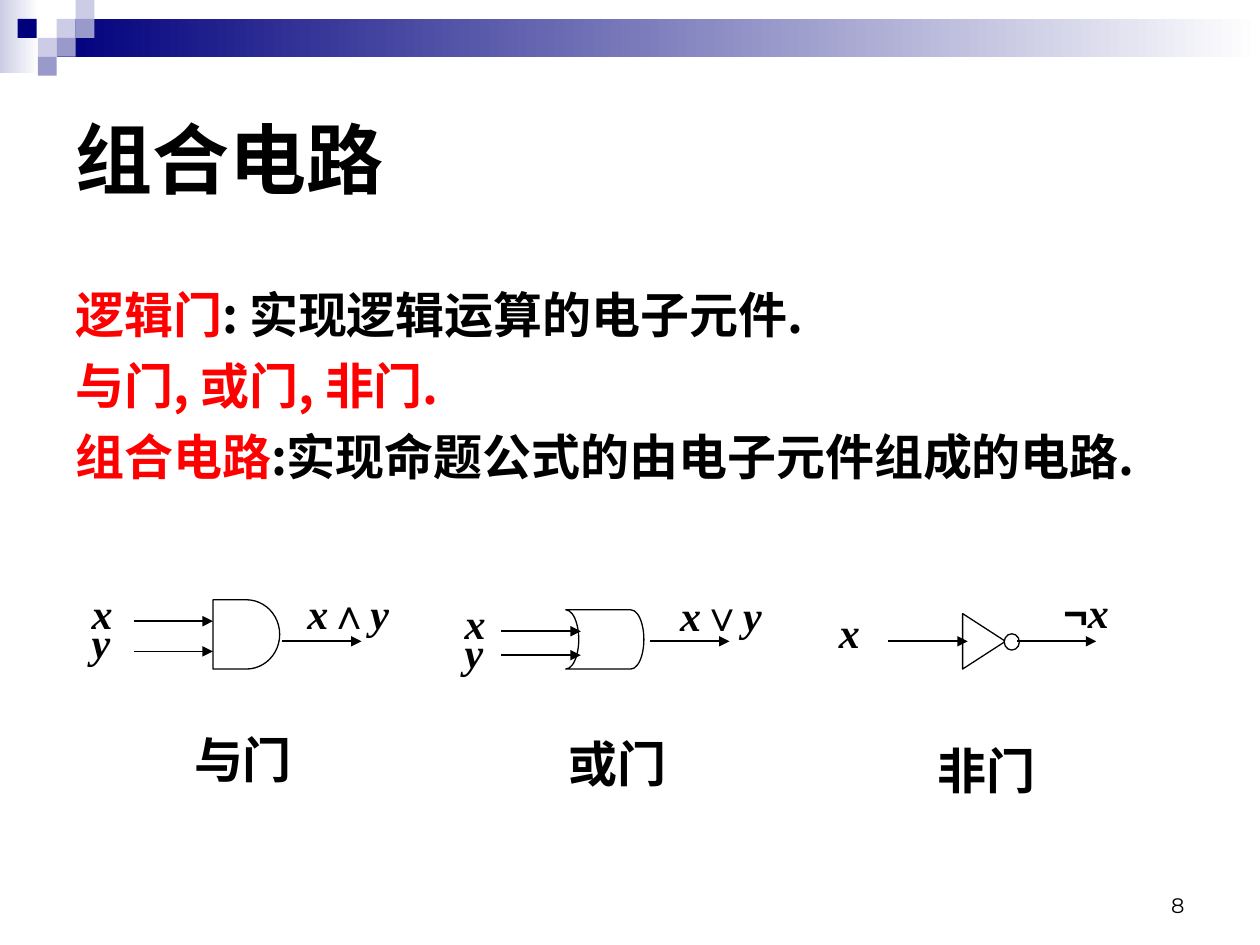
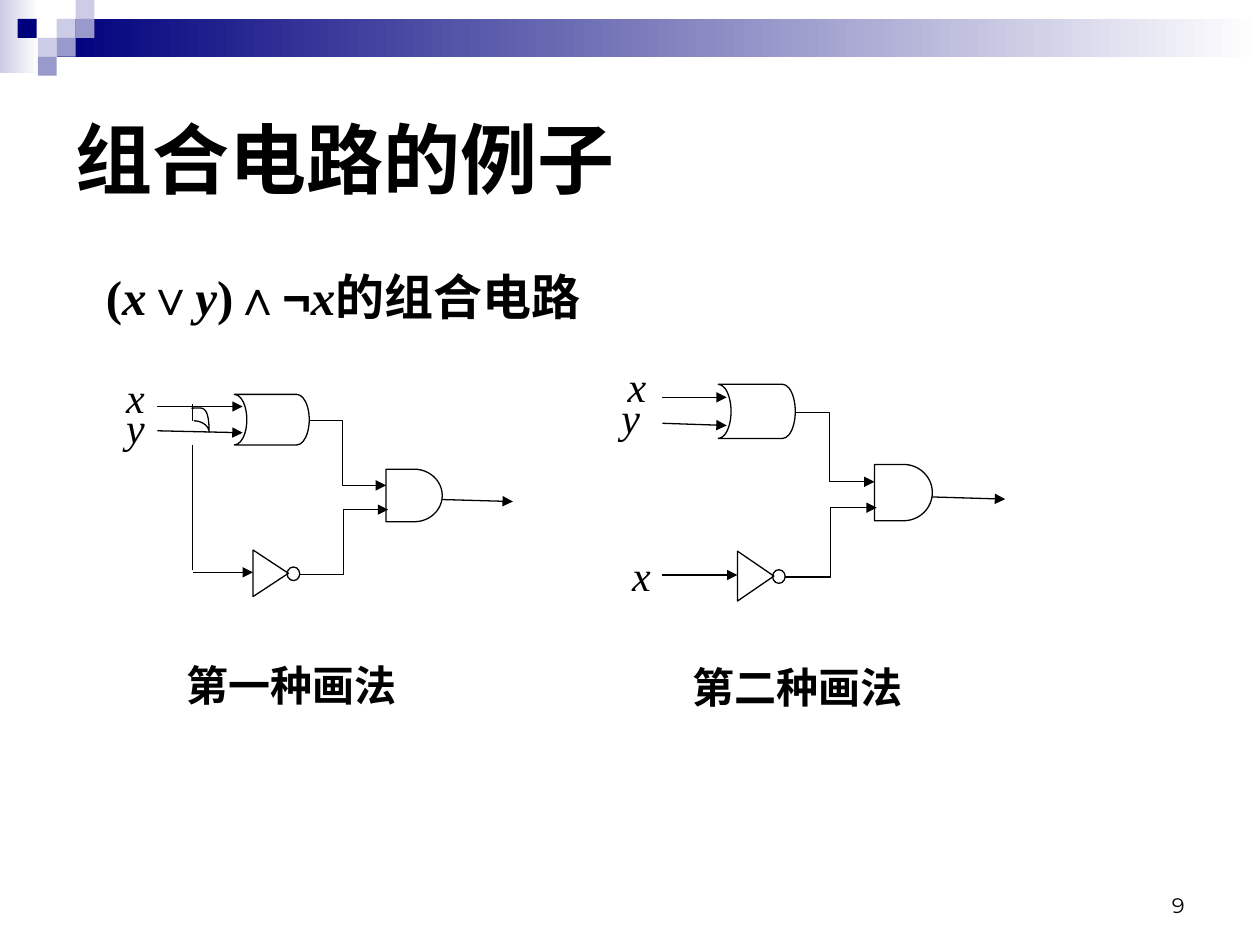
import itertools

import pptx
import pptx.dml.color
import pptx.enum.shapes
import pptx.enum.text
import pptx.oxml.ns
import pptx.util
from lxml import etree

RGB = pptx.dml.color.RGBColor
BLACK, WHITE, RED = RGB(0, 0, 0), RGB(255, 255, 255), RGB(255, 0, 0)
NAVY, MID, PALE = RGB(0, 0, 0x7D), RGB(0x99, 0x99, 0xCC), RGB(0xCC, 0xCC, 0xE6)

SHAPE = pptx.enum.shapes.MSO_SHAPE
WIRE = pptx.enum.shapes.MSO_CONNECTOR
ALIGN = pptx.enum.text.PP_ALIGN
ANCHOR = pptx.enum.text.MSO_ANCHOR
AND, OR, NOT = SHAPE.FLOWCHART_DELAY, SHAPE.FLOWCHART_STORED_DATA, SHAPE.ISOSCELES_TRIANGLE

# The slide is a grid of 100 columns and 75 rows of square cells
CELL = pptx.util.Inches(0.1)
COLS, ROWS = 100, 75
HAN, SERIF = "Noto Sans CJK SC", "Times New Roman"


def emu(*cells):
    return [round(cell * CELL) for cell in cells]


def within(box, x, y, w=0, h=0):
    """Turn shares of a box into cells."""
    left, top, wide, high = box
    return left + x * wide, top + y * high, w * wide, h * high


def node(owner, tag, **attrs):
    return etree.SubElement(owner, pptx.oxml.ns.qn(tag), **attrs)


# Basic parts
def text(slide, box, paras, size=24, font=SERIF, bold=False, italic=False,
         color=BLACK, align=ALIGN.LEFT, anchor=ANCHOR.TOP, lead=None, gap=0, indent=0):
    """Write paragraphs; each is a string or a list of (string, format) runs."""
    frame = slide.shapes.add_textbox(*emu(*box)).text_frame
    frame.word_wrap = True
    frame.vertical_anchor = anchor
    frame.margin_left = emu(1 + indent)[0]
    for i, runs in enumerate(paras):
        para = frame.paragraphs[0] if i == 0 else frame.add_paragraph()
        para.alignment = align
        if lead:
            para.line_spacing = pptx.util.Pt(lead * size)
        if i:
            para.space_before = pptx.util.Pt(gap)
        for words, style in [(runs, {})] if isinstance(runs, str) else runs:
            run = para.add_run()
            run.text = words
            run.font.size = pptx.util.Pt(size)
            run.font.name = style.get("font", font)
            run.font.bold = bold
            run.font.italic = style.get("italic", italic)
            run.font.color.rgb = style.get("color", color)
            node(run.font._element, "a:ea", typeface=HAN)


def maths(words):
    """Split a formula into runs: letters slanted, the negation sign in Arial."""
    kinds = itertools.groupby(words, lambda c: (c in "xy", c == "¬"))
    return [("".join(part), {"italic": slant, "font": "Arial" if neg else SERIF})
            for (slant, neg), part in kinds]


def shape(slide, kind, box, fill=None, fade=None, edge=None, turn=0):
    x, y, w, h = box
    if turn == 90:
        x, y, w, h = x + (w - h) / 2, y + (h - w) / 2, h, w
    item = slide.shapes.add_shape(kind, *emu(x, y, w, h))
    item.shadow.inherit = False
    item.rotation = turn
    if fade:
        item.fill.gradient()
        item.fill.gradient_angle = 0
        for stop, tone, place in zip(item.fill.gradient_stops, fade, (0, 1)):
            stop.color.rgb, stop.position = tone, place
    elif fill is not None:
        item.fill.solid()
        item.fill.fore_color.rgb = fill
    else:
        item.fill.background()
    if edge:
        item.line.color.rgb = BLACK
        item.line.width = pptx.util.Pt(edge)
    else:
        item.line.fill.background()


def wire(slide, start, end, width=0.75, head=True, bend=None):
    kind = WIRE.ELBOW if bend else WIRE.STRAIGHT
    item = slide.shapes.add_connector(kind, *emu(*start, *end))
    item.line.color.rgb = BLACK
    item.line.width = pptx.util.Pt(width)
    props = item._element.spPr
    if head:
        node(props.find(pptx.oxml.ns.qn("a:ln")), "a:tailEnd", type="triangle")
    if bend:
        geom = props.find(pptx.oxml.ns.qn("a:prstGeom"))
        for old in list(geom):
            geom.remove(old)
        node(node(geom, "a:avLst"), "a:gd", name="adj1", fmla=f"val {round(bend * 100000)}")
    node(props, "a:effectLst")


def symbol(slide, kind, box, fill=None):
    turn = {AND: 0, OR: 180, NOT: 90}[kind]
    shape(slide, kind, box, fill=fill, edge=0.75, turn=turn)
    if kind == NOT:
        # Bubble at the tip of the inverter
        x, y, w, h = box
        bub = 1.2 if fill else 1
        shape(slide, SHAPE.OVAL, (x + w - 0.1, y + h / 2 - bub / 2, bub, bub * 1.08),
              fill=fill, edge=0.75)


def label(slide, x, y, words, wide=4.3, bold=False):
    lead = 1.3 if len(words) > 2 else 1.22
    text(slide, (x, y, wide, 4.7), [maths(words)], bold=bold, lead=lead)


# Shared frame of a slide
def frame(deck, title, number):
    slide = deck.slides.add_slide(deck.slide_layouts[6])
    shape(slide, SHAPE.RECTANGLE, (0, 0, 3.1, 5.8), fade=(PALE, WHITE))
    shape(slide, SHAPE.RECTANGLE, (4.5, 1.5, COLS - 4.5, 3), fade=(NAVY, WHITE))
    tiles = [(4.5, 1.5, PALE), (6, 0, PALE), (6, 1.5, MID), (3, 3, PALE),
             (1.4, 1.5, NAVY), (4.5, 3, MID), (3, 4.5, MID)]
    for x, y, tone in tiles:
        shape(slide, SHAPE.RECTANGLE, (x, y, 1.5, 1.5), fill=tone)
    text(slide, (5, 5, 90, 15), [title], size=44, font="Arial", bold=True,
         anchor=ANCHOR.MIDDLE)
    text(slide, (71.7, 68.3, 23.3, 5), [str(number)], size=12, font="Montserrat",
         align=ALIGN.RIGHT, anchor=ANCHOR.BOTTOM)
    return slide


# One gate with its inputs, result and name
def gate(slide, box, kind, body, inputs, enter, leave, result, name):
    left, top = box
    x, y, w, h = body
    symbol(slide, kind, (left + x, top + y, w, h), fill=WHITE)
    for letter, rise, row in inputs:
        label(slide, left, top + rise, letter, bold=True)
        wire(slide, (left + enter, top + row), (left + enter + 6.3, top + row), width=1)
    wire(slide, (left + leave, top + 5.1), (left + leave + 6.3, top + 5.1), width=1)
    words, x, y = result
    label(slide, left + x, top + y, words, wide=11.5, bold=True)
    words, x, y = name
    text(slide, (left + x, top + y, 17.5, 6.8), [words], size=28, font="Calibri",
         bold=True, lead=1.3, indent=5)


def curve(a, b, c, d, steps=10):
    """Points on a cubic curve."""
    for i in range(1, steps + 1):
        t = i / steps
        mix = ((1 - t) ** 3, 3 * t * (1 - t) ** 2, 3 * t * t * (1 - t), t ** 3)
        yield tuple(sum(m * p[k] for m, p in zip(mix, (a, b, c, d))) for k in (0, 1))


def branch(slide, box):
    """Lead the x input down to the inverter, hopping over the y wire."""
    left, top = box[:2]
    start, turn, end = (-3.2, 2.1), (-2, 3), (-3.4, 1.1)
    dots = [*curve(start, (-2.6, 2.1), (-2, 2.5), turn),
            *curve(turn, (-2, 0.7), (-2.6, 1.1), end)]
    spots = [emu(left + x, top + y) for x, y in [start, *dots]]
    maker = slide.shapes.build_freeform(*spots[0])
    maker.add_line_segments(spots[1:], close=False)
    hop = maker.convert_to_shape()
    hop.shadow.inherit = False
    hop.fill.background()
    hop.line.color.rgb = BLACK
    hop.line.width = pptx.util.Pt(0.75)
    for upper, lower in ((0.05, 0.13), (0.25, 0.87)):
        wire(slide, within(box, -0.2, upper)[:2], within(box, -0.2, lower)[:2], head=False)


# Circuit for (x∨y)∧¬x, in shares of its box
def circuit(slide, box, start, feed, letters, name):
    def link(x1, y1, x2, y2, bend=None):
        wire(slide, within(box, x1, y1)[:2], within(box, x2, y2)[:2], bend=bend)

    symbol(slide, OR, within(box, 0, 0, 0.36, 0.25))
    symbol(slide, NOT, within(box, 0.09, 0.77, 0.17, 0.23))
    symbol(slide, AND, within(box, 0.73, 0.37, 0.27, 0.26))
    link(start, 0.06, 0.04, 0.06)
    link(start, 0.18, 0.04, 0.19)
    link(feed, 0.88, 0.09, 0.88)
    link(0.36, 0.13, 0.73, 0.45, bend=0.43)
    link(0.31, 0.89, 0.74, 0.57, bend=0.5)
    link(1, 0.52, 1.34, 0.53)
    for letter, x, y in letters:
        label(slide, *within(box, x, y)[:2], letter)
    words, x, y = name
    text(slide, (*within(box, x, y)[:2], 19.5, 4.7), [words], bold=True, lead=1.3)


def gates(deck):
    slide = frame(deck, "组合电路", 8)
    red = {"color": RED}
    text(slide, (5, 21.7, 94, 19),
         [[("逻辑门", red), (": 实现逻辑运算的电子元件.", {})],
          [("与门, 或门, 非门.", red)],
          [("组合电路", red), (":实现命题公式的由电子元件组成的电路.", {})]],
         size=28, font=HAN, bold=True, lead=1.3, gap=4.2)
    top = 45.8
    gate(slide, (6.3, top), AND, (10.6, 1.8, 5.3, 5.5),
         [("x", 0.3, 3.5), ("y", 2.6, 5.9)], 4.3, 16.1, ("x∧y", 17.1, 0), ("与门", 3.1, 11.2))
    gate(slide, (35.9, top), OR, (9, 2.6, 6.2, 4.7),
         [("x", 1.1, 4.3), ("y", 3.4, 6.2)], 3.9, 15.7, ("x∨y", 17.1, 0.2), ("或门", 3.2, 11.5))
    gate(slide, (65.6, top), NOT, (10.8, 2.9, 3.4, 4.4),
         [("x", 1.8, 5.1)], 4.9, 15.1, ("¬x", 17.8, 0.2), ("非门", 2.8, 12.1))


def example(deck):
    slide = frame(deck, "组合电路的例子", 9)
    text(slide, (5.5, 20.3, 86.7, 6), [maths("(x∨y)∧¬x的组合电路")],
         size=28, bold=True, lead=1.3, indent=1.9)
    first = (18.6, 31.3, 16.5, 16.05)
    circuit(slide, first, -0.37, -0.2, [("x", -0.58, -0.15), ("y", -0.58, 0)],
            ("第一种画法", -0.29, 1.26))
    branch(slide, first)
    circuit(slide, (57, 30.5, 17, 17.2), -0.26, -0.26,
            [("x", -0.48, -0.14), ("y", -0.51, 0), ("x", -0.46, 0.73)],
            ("第二种画法", -0.18, 1.23))


def main():
    deck = pptx.Presentation()
    deck.slide_width, deck.slide_height = emu(COLS, ROWS)
    gates(deck)
    example(deck)
    deck.save("out.pptx")


if __name__ == "__main__":
    main()
